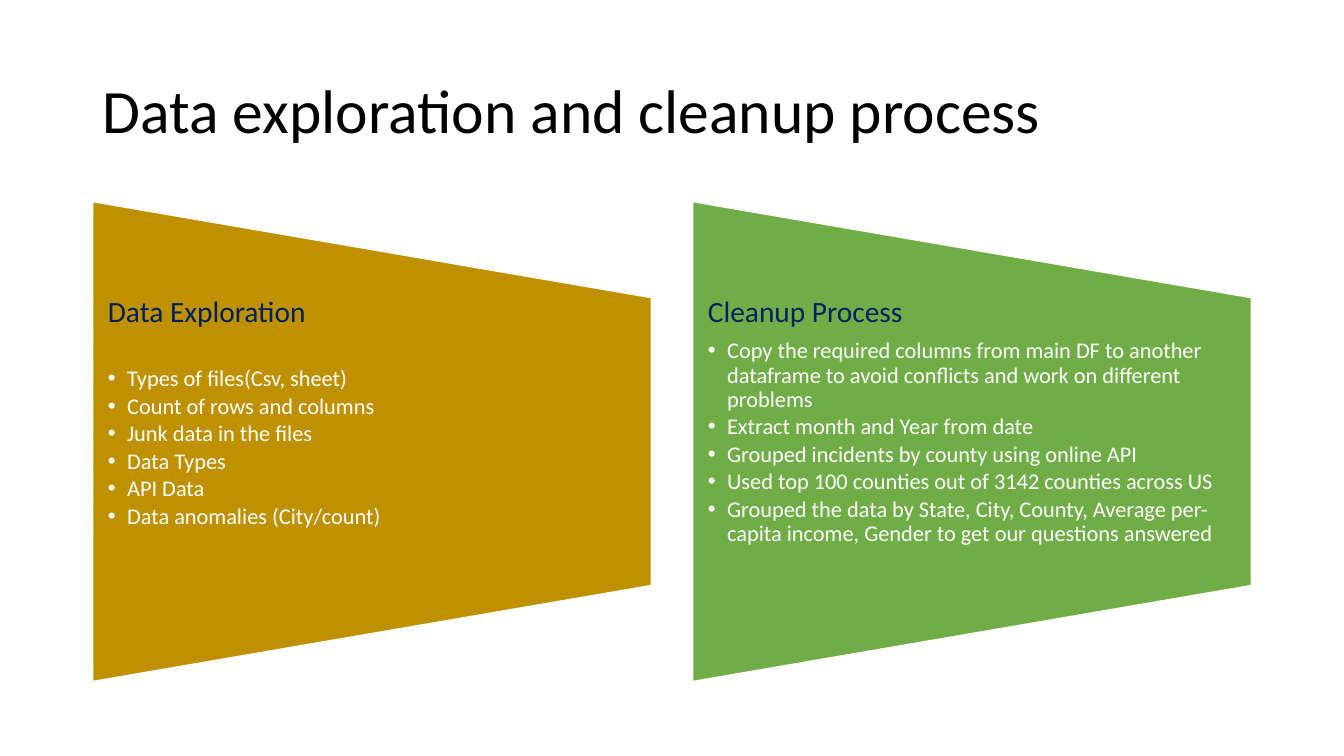
from dataclasses import dataclass

from lxml.etree import SubElement
from pptx import Presentation
from pptx.dml.color import RGBColor
from pptx.enum.shapes import MSO_SHAPE as Shape
from pptx.enum.text import MSO_ANCHOR as Anchor, MSO_AUTO_SIZE as AutoSize, PP_ALIGN as Align
from pptx.oxml.ns import qn
from pptx.shapes.placeholder import SlidePlaceholder
from pptx.slide import Slide
from pptx.text.text import TextFrame
from pptx.util import Inches, Pt

WIDTH = Inches(13.33)
HEIGHT = Inches(7.5)
TWO_CONTENT_LAYOUT = 3


@dataclass(frozen=True)
class Theme:
    font: str = "Calibri"
    black: str = "000000"
    white: str = "FFFFFF"
    navy: str = "002060"
    gold: str = "BF9000"
    green: str = "70AD47"
    title_size: float = 44
    heading_size: float = 21
    bullet_size: float = 16
    line_spacing: float = 0.9


@dataclass(frozen=True)
class Panel:
    heading: str
    bullets: tuple[str, ...]
    color: str
    heading_gap: float


THEME = Theme()
PANELS = (
    Panel(
        "Data Exploration",
        (
            "Types of files(Csv, sheet)",
            "Count of rows and columns",
            "Junk data in the files",
            "Data Types",
            "API Data",
            "Data anomalies (City/count)",
        ),
        THEME.gold,
        27,
    ),
    Panel(
        "Cleanup Process",
        (
            "Copy the required columns from main DF to another dataframe to avoid "
            "conflicts and work on different problems",
            "Extract month and Year from date",
            "Grouped incidents by county using online API",
            "Used top 100 counties out of 3142 counties across US",
            "Grouped the data by State, City, County, Average per-capita income, "
            "Gender to get our questions answered",
        ),
        THEME.green,
        7.35,
    ),
)


def across(percent: float) -> int:
    return round(WIDTH * percent / 100)


def down(percent: float) -> int:
    return round(HEIGHT * percent / 100)


MARGIN = across(6.9)
PANEL_WIDTH = across(41.56)
PANEL_PITCH = across(44.64)
PANEL_TOP = down(26.67)
PANEL_HEIGHT = down(63.47)
INSET = across(1.13)
BULLET_INDENT = across(1.43)


def write(frame: TextFrame, text: str, *, size: float, color: str,
          after: float = 0, bullet: bool = False) -> None:
    paragraph = frame.paragraphs[0]
    if paragraph.runs:
        paragraph = frame.add_paragraph()
    paragraph.alignment = Align.LEFT
    paragraph.level = int(bullet)
    paragraph.line_spacing = THEME.line_spacing
    paragraph.space_before = Pt(0)
    paragraph.space_after = Pt(after)
    indent = BULLET_INDENT if bullet else 0
    properties = paragraph._p.get_or_add_pPr()
    properties.set("marL", str(indent))
    properties.set("indent", str(-indent))
    if bullet:
        SubElement(properties, qn("a:buFont"), typeface="Arial")
        SubElement(properties, qn("a:buChar"), char="•")
    else:
        SubElement(properties, qn("a:buNone"))
    run = paragraph.add_run()
    run.text = text
    run.font.name = THEME.font
    run.font.size = Pt(size)
    run.font.color.rgb = RGBColor.from_string(color)


def place(placeholder: SlidePlaceholder, left: int, top: int, width: int, height: int) -> TextFrame:
    placeholder.left, placeholder.top = left, top
    placeholder.width, placeholder.height = width, height
    frame = placeholder.text_frame
    frame.word_wrap = True
    frame.auto_size = AutoSize.NONE
    return frame


def draw_panel(slide: Slide, body: SlidePlaceholder, panel: Panel, left: int) -> None:
    shape = slide.shapes.add_shape(
        Shape.FLOWCHART_MANUAL_OPERATION,
        left + (PANEL_WIDTH - PANEL_HEIGHT) // 2,
        PANEL_TOP + (PANEL_HEIGHT - PANEL_WIDTH) // 2,
        PANEL_HEIGHT,
        PANEL_WIDTH,
    )
    shape.rotation = 270
    shape.shadow.inherit = False
    shape.fill.solid()
    shape.fill.fore_color.rgb = RGBColor.from_string(panel.color)
    shape.line.color.rgb = RGBColor.from_string(THEME.white)
    shape.line.width = Pt(1)
    body.element.addprevious(shape.element)

    frame = place(body, left, PANEL_TOP + PANEL_HEIGHT // 5, PANEL_WIDTH, PANEL_HEIGHT * 3 // 5)
    frame.vertical_anchor = Anchor.TOP
    frame.margin_left = frame.margin_right = INSET
    frame.margin_top = frame.margin_bottom = 0
    write(frame, panel.heading, size=THEME.heading_size, color=THEME.navy, after=panel.heading_gap)
    for bullet in panel.bullets:
        write(frame, bullet, size=THEME.bullet_size, color=THEME.white, after=2.4, bullet=True)


def main() -> None:
    presentation = Presentation()
    presentation.slide_width, presentation.slide_height = WIDTH, HEIGHT
    slide = presentation.slides.add_slide(presentation.slide_layouts[TWO_CONTENT_LAYOUT])
    title, *bodies = slide.placeholders
    frame = place(title, MARGIN, down(5.33), across(86.25), down(19.33))
    frame.vertical_anchor = Anchor.MIDDLE
    write(frame, "Data exploration and cleanup process", size=THEME.title_size, color=THEME.black)
    for column, (body, panel) in enumerate(zip(bodies, PANELS)):
        draw_panel(slide, body, panel, MARGIN + column * PANEL_PITCH)
    presentation.save("out.pptx")


if __name__ == "__main__":
    main()
